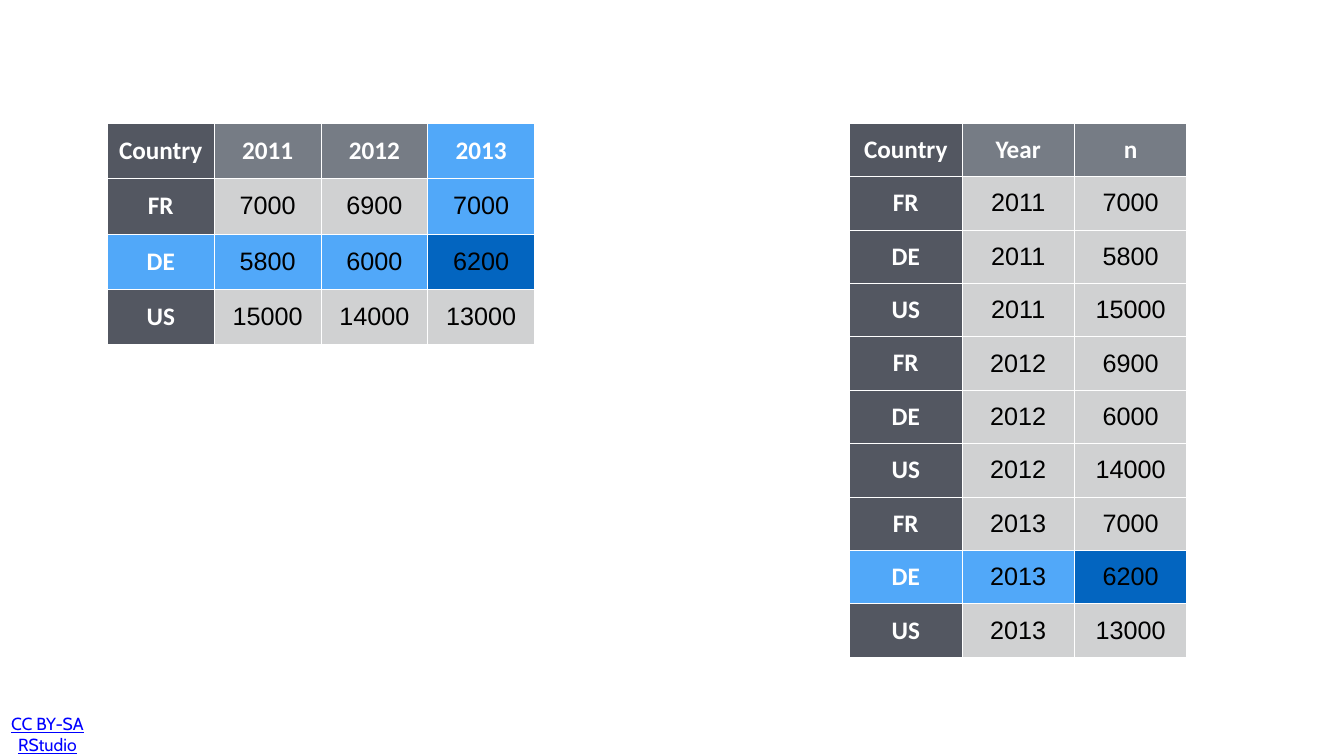
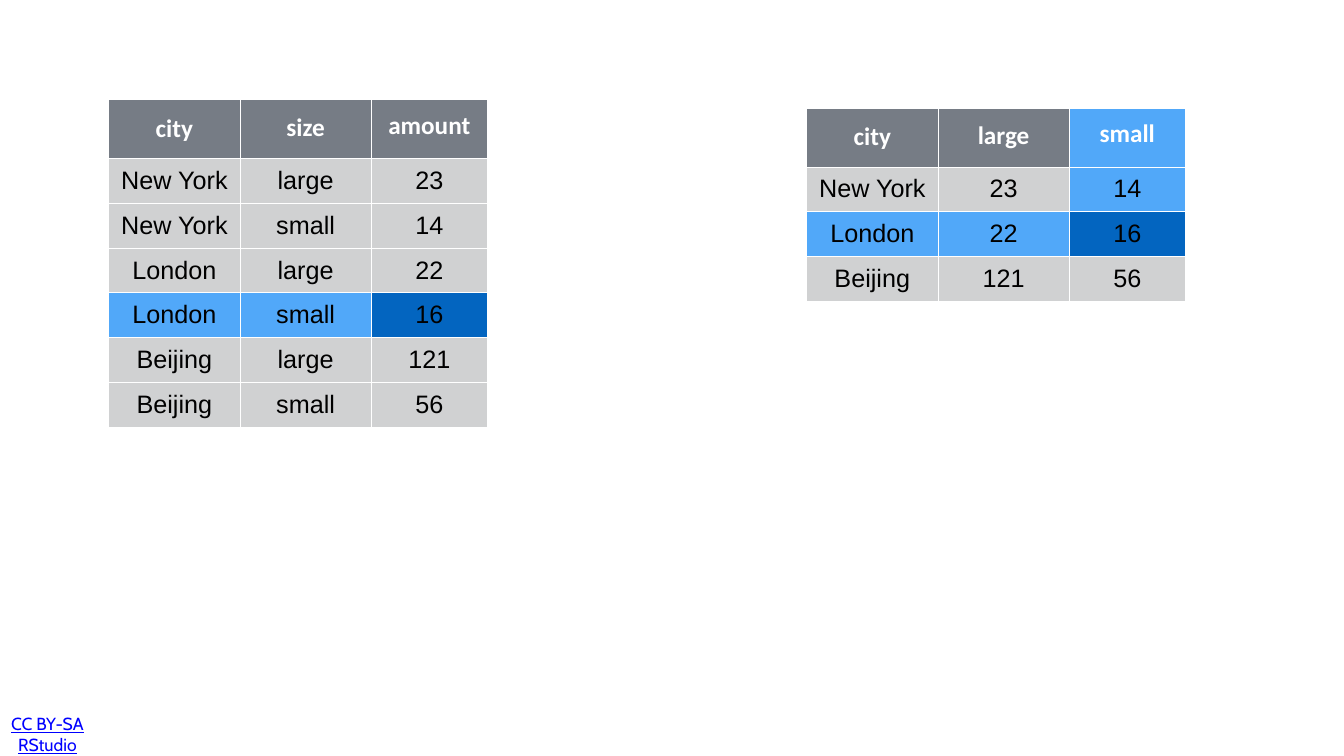
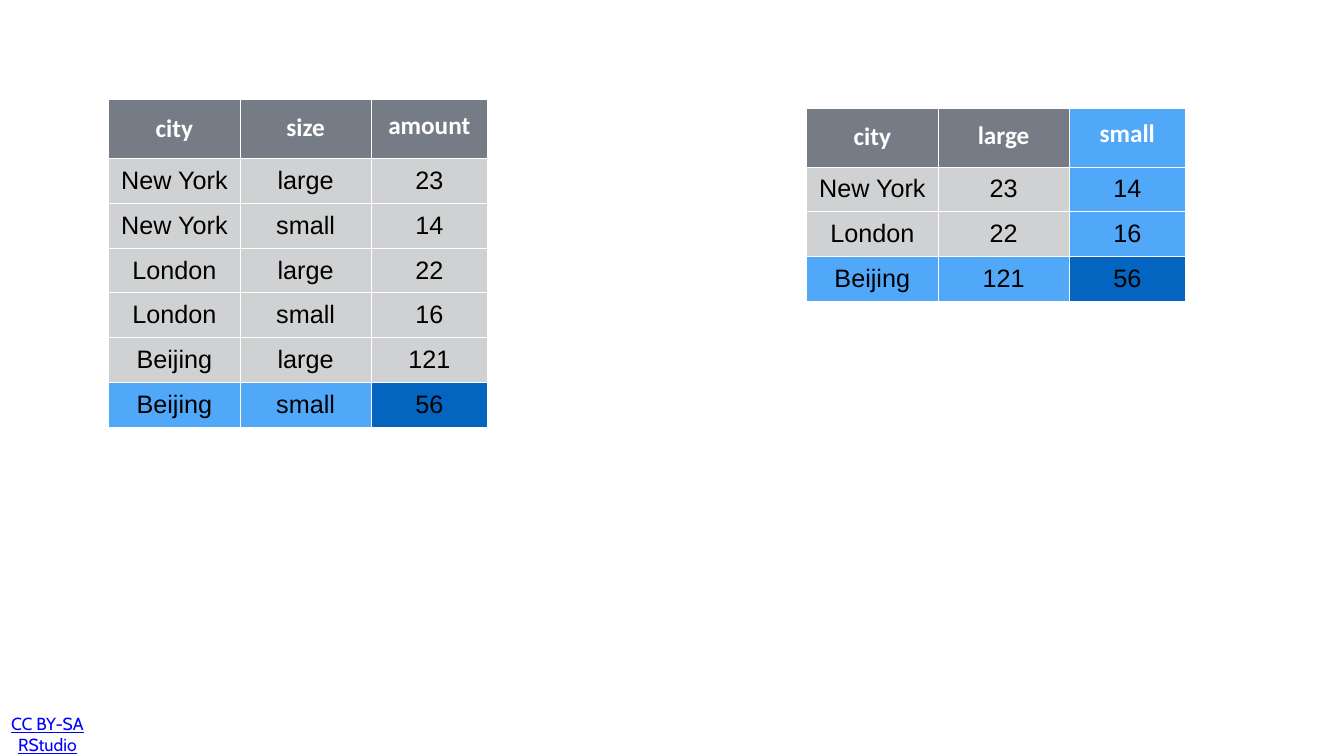
from dataclasses import dataclass

from lxml.etree import SubElement
from pptx import Presentation
from pptx.dml.color import RGBColor
from pptx.enum.text import MSO_ANCHOR, PP_ALIGN
from pptx.oxml.ns import qn
from pptx.util import Inches, Pt


@dataclass(frozen=True)
class Theme:
    white: str = "FFFFFF"
    black: str = "000000"
    link: str = "0000FF"
    header: str = "767C85"
    row_header: str = "535761"
    body: str = "D0D1D2"
    trail: str = "51A8F9"
    hit: str = "0365C0"
    head_font: str = "Calibri"
    body_font: str = "Arial"
    footer_font: str = "Cabin"
    cell_size: int = 36
    footer_size: int = 25


T = Theme()


def set_text(tf, text, *, font, size, color, bold=False, underline=False, spacing=None):
    p = tf.paragraphs[0]
    p.alignment = PP_ALIGN.CENTER
    p.line_spacing = spacing
    r = p.add_run()
    r.text = text
    r.font.name = font
    r.font.size = Pt(size)
    r.font.bold = bold
    r.font.underline = underline
    r.font.color.rgb = RGBColor.from_string(color)


def add_data_table(s, left, top, cols, heights, rows, hit_row, *,
                   column_trail=False, row_headers=False, head_spacing=None):
    """Highlight the last cell of hit_row, its row and, with column_trail, the cells above it."""
    last = len(cols) - 1
    table = s.shapes.add_table(len(rows), len(cols), Inches(left), Inches(top),
                               Inches(sum(cols)), Inches(sum(heights))).table
    table.horz_banding = False
    table.first_col = row_headers
    for column, width in zip(table.columns, cols):
        column.width = Inches(width)
    for row, height in zip(table.rows, heights):
        row.height = Inches(height)

    for i, values in enumerate(rows):
        for j, value in enumerate(values):
            cell = table.cell(i, j)
            cell.vertical_anchor = MSO_ANCHOR.MIDDLE
            cell.margin_left = cell.margin_right = Inches(0.06)
            cell.margin_top = cell.margin_bottom = Inches(0.06)

            tcPr = cell._tc.get_or_add_tcPr()
            for side in ("a:lnL", "a:lnR", "a:lnT", "a:lnB"):
                ln = SubElement(tcPr, qn(side), w=str(Pt(1)))
                SubElement(SubElement(ln, qn("a:solidFill")), qn("a:srgbClr"), val=T.white)

            is_row_header = row_headers and j == 0
            if i == hit_row and j == last:
                fill = T.hit
            elif i == hit_row or (column_trail and j == last and i < hit_row):
                fill = T.trail
            elif is_row_header:
                fill = T.row_header
            else:
                fill = T.header if i == 0 else T.body
            cell.fill.solid()
            cell.fill.fore_color.rgb = RGBColor.from_string(fill)

            is_head = i == 0 or is_row_header
            set_text(cell.text_frame, value, size=T.cell_size, bold=is_head,
                     font=T.head_font if is_head else T.body_font,
                     color=T.white if is_head else T.black,
                     spacing=head_spacing[j] if head_spacing and i == 0 else None)


prs = Presentation()
prs.slide_width = Inches(26.67)
prs.slide_height = Inches(15)

slides = []
for _ in range(3):
    s = prs.slides.add_slide(prs.slide_layouts[6])
    footer = s.shapes.add_textbox(Inches(0.12), Inches(14.26), Inches(2.66), Inches(0.6))
    tf = footer.text_frame
    tf.word_wrap = True
    tf.vertical_anchor = MSO_ANCHOR.MIDDLE
    tf.margin_left = tf.margin_top = tf.margin_bottom = Inches(0.08)
    tf.margin_right = Inches(1.1)
    set_text(tf, "CC BY-SA RStudio", font=T.footer_font, size=T.footer_size,
             color=T.link, underline=True)
    slides.append(s)

# Slide 1: cases by country, wide and long
years = ["2011", "2012", "2013"]
cases = {
    "FR": ["7000", "6900", "7000"],
    "DE": ["5800", "6000", "6200"],
    "US": ["15000", "14000", "13000"],
}
cases_wide = [["Country", *years]] + [[c, *counts] for c, counts in cases.items()]
cases_long = [["Country", "Year", "n"]] + [
    [c, year, counts[k]] for k, year in enumerate(years) for c, counts in cases.items()]

add_data_table(slides[0], 2.13, 2.44, [2.12] * 4, [1.1] * 4, cases_wide, 2,
               column_trail=True, row_headers=True)
add_data_table(slides[0], 16.86, 2.44, [2.23] * 3, [1.06] * 10, cases_long, 8,
               row_headers=True)

# Slides 2 and 3: pollution by city, long and wide
sizes = ["large", "small"]
pollution = {"New York": ["23", "14"], "London": ["22", "16"], "Beijing": ["121", "56"]}
pollution_long = [["city", "size", "amount"]] + [
    [city, size, amount] for city, amounts in pollution.items()
    for size, amount in zip(sizes, amounts)]
pollution_wide = [["city", *sizes]] + [[city, *amounts] for city, amounts in pollution.items()]
city_cols = [2.62, 2.59, 2.32]
city_spacing = [None, 0.8, 0.6]

for s, long_hit, wide_hit in [(slides[1], 4, 2), (slides[2], 6, 3)]:
    add_data_table(s, 2.15, 1.98, city_cols, [1.16] + [0.89] * 6, pollution_long, long_hit,
                   head_spacing=city_spacing)
    add_data_table(s, 16, 2.14, city_cols, [1.17] + [0.89] * 3, pollution_wide, wide_hit,
                   column_trail=True, head_spacing=city_spacing)

prs.save("out.pptx")
